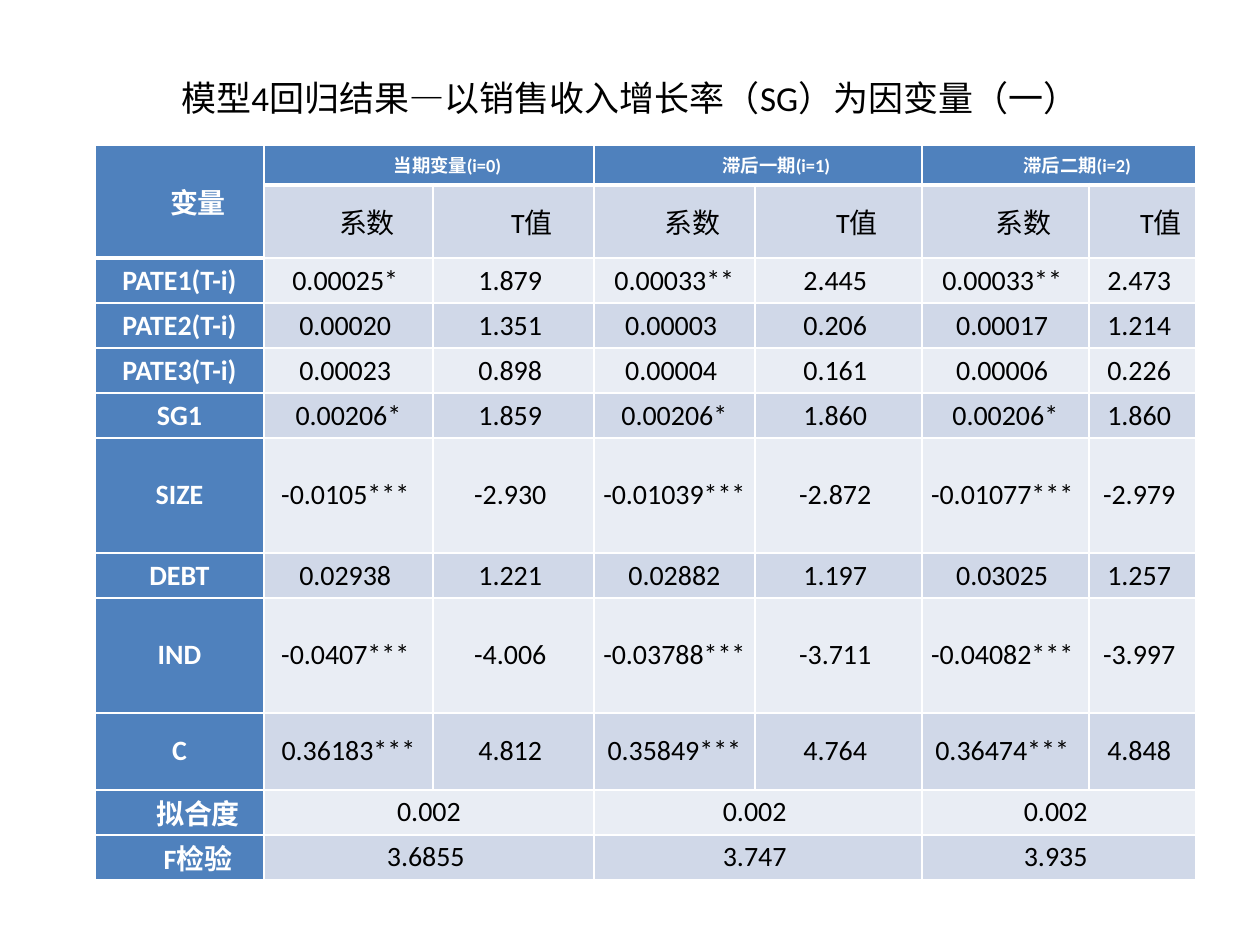
from lxml import etree
from pptx import Presentation
from pptx.dml.color import RGBColor
from pptx.enum.text import MSO_ANCHOR, PP_ALIGN
from pptx.oxml.ns import qn
from pptx.util import Emu, Pt

PX = 914400 // 126
CENTER = PP_ALIGN.CENTER
MIDDLE = MSO_ANCHOR.MIDDLE
FONT = "Calibri"
WHITE, BLACK, BLUE = "FFFFFF", "000000", "4F81BD"
BANDS = ("E9EDF4", "D0D8E8")

TITLE = "模型4回归结果—以销售收入增长率（SG）为因变量（一）"
COLUMN_WIDTHS = [169, 169, 161, 161, 167, 167, 107]
ROW_HEIGHTS = [40, 73, 45, 45, 45, 45, 115, 45, 115, 77, 45, 45]
INDENT = 37
# None marks a cell covered by the merged cell to its left or above.
RESULTS = [
    ["变量", "当期变量(i=0)", None, "滞后一期(i=1)", None, "滞后二期(i=2)", None],
    [None, "系数", "T值", "系数", "T值", "系数", "T值"],
    ["PATE1(T-i)", "0.00025* ", "1.879 ", "0.00033**", "2.445 ", "0.00033** ", "2.473 "],
    ["PATE2(T-i)", "0.00020 ", "1.351 ", "0.00003 ", "0.206 ", "0.00017 ", "1.214 "],
    ["PATE3(T-i)", "0.00023 ", "0.898 ", "0.00004 ", "0.161 ", "0.00006 ", "0.226 "],
    ["SG1", "0.00206*", "1.859 ", "0.00206*", "1.860 ", "0.00206*", "1.860 "],
    ["SIZE", "-0.0105*** ", "-2.930 ", "-0.01039*** ", "-2.872 ", "-0.01077*** ", "-2.979 "],
    ["DEBT", "0.02938 ", "1.221 ", "0.02882", "1.197 ", "0.03025 ", "1.257 "],
    ["IND", "-0.0407*** ", "-4.006 ", "-0.03788*** ", "-3.711 ", "-0.04082*** ", "-3.997 "],
    ["C", "0.36183***", "4.812 ", "0.35849***", "4.764 ", "0.36474*** ", "4.848 "],
    ["拟合度", "0.002", None, "0.002 ", None, "0.002 ", None],
    ["F检验", "3.6855 ", None, "3.747 ", None, "3.935 ", None],
]
INDENTED_LABELS = ("拟合度", "F检验")


def px(length):
    """Turn whole pixels into EMU."""
    return Emu(length * PX)


def color(hex_code):
    """Turn a hex string into a colour."""
    return RGBColor.from_string(hex_code)


def style_text(paragraph, size, hex_code, bold=False):
    """Centre a paragraph and format its runs."""
    paragraph.alignment = CENTER
    for run in paragraph.runs:
        run.font.name = FONT
        run.font.size = Pt(size)
        run.font.bold = bold
        run.font.color.rgb = color(hex_code)


def set_borders(cell, top, bottom):
    """Draw white cell borders; top and bottom widths are in points."""
    properties = cell._tc.get_or_add_tcPr()
    sides = {"a:lnL": 1, "a:lnR": 1, "a:lnT": top, "a:lnB": bottom}
    for position, (tag, width) in enumerate(sides.items()):
        line = etree.Element(qn(tag), w=str(Pt(width)))
        fill = etree.SubElement(line, qn("a:solidFill"))
        etree.SubElement(fill, qn("a:srgbClr"), val=WHITE)
        properties.insert(position, line)


def add_title(slide, left, top, width, height):
    """Place the slide heading in its box, slightly above the middle."""
    heading = slide.shapes.add_textbox(px(left), px(top), px(width), px(height))
    frame = heading.text_frame
    frame.word_wrap = True
    frame.vertical_anchor = MIDDLE
    frame.margin_bottom = px(45)
    frame.text = TITLE
    style_text(frame.paragraphs[0], 20, BLACK)


def fill_cell(cell, row, column, label):
    """Write and format one cell by its place in the table."""
    in_header = row == 0 or column == 0
    cell.margin_left = cell.margin_right = px(9)
    cell.margin_top = cell.margin_bottom = 0
    cell.vertical_anchor = MIDDLE
    cell.fill.solid()
    cell.fill.fore_color.rgb = color(BLUE if in_header else BANDS[row % 2])
    head_end = 1 if column == 0 else 0
    set_borders(cell, 3 if row == head_end + 1 else 1, 3 if row <= head_end else 1)
    if label is None:
        return
    cell.text_frame.text = label
    paragraph = cell.text_frame.paragraphs[0]
    size = 10.5 if row == 0 and column > 0 else 16
    style_text(paragraph, size, WHITE if in_header else BLACK, in_header)
    if row < 2 or label in INDENTED_LABELS:
        paragraph._p.get_or_add_pPr().set("indent", str(px(INDENT)))


def add_results(slide, left, top):
    """Place the regression table with its merged headings and totals."""
    frame = slide.shapes.add_table(
        len(ROW_HEIGHTS), len(COLUMN_WIDTHS), px(left), px(top),
        px(sum(COLUMN_WIDTHS)), px(sum(ROW_HEIGHTS)))
    table = frame.table
    table.first_row = table.horz_banding = False
    for column, width in zip(table.columns, COLUMN_WIDTHS):
        column.width = px(width)
    for table_row, height in zip(table.rows, ROW_HEIGHTS):
        table_row.height = px(height)
    for row, labels in enumerate(RESULTS):
        for column, label in enumerate(labels):
            fill_cell(table.cell(row, column), row, column, label)
            if label is None and column > 0:
                table.cell(row, column - 1).merge(table.cell(row, column))
    table.cell(0, 0).merge(table.cell(1, 0))


def main():
    """Build the slide and save it."""
    deck = Presentation()
    deck.slide_width, deck.slide_height = px(1260), px(945)
    slide = deck.slides.add_slide(deck.slide_layouts[6])
    add_title(slide, 63, 38, 1134, 158)
    add_results(slide, 95, 145)
    deck.save("out.pptx")


main()
